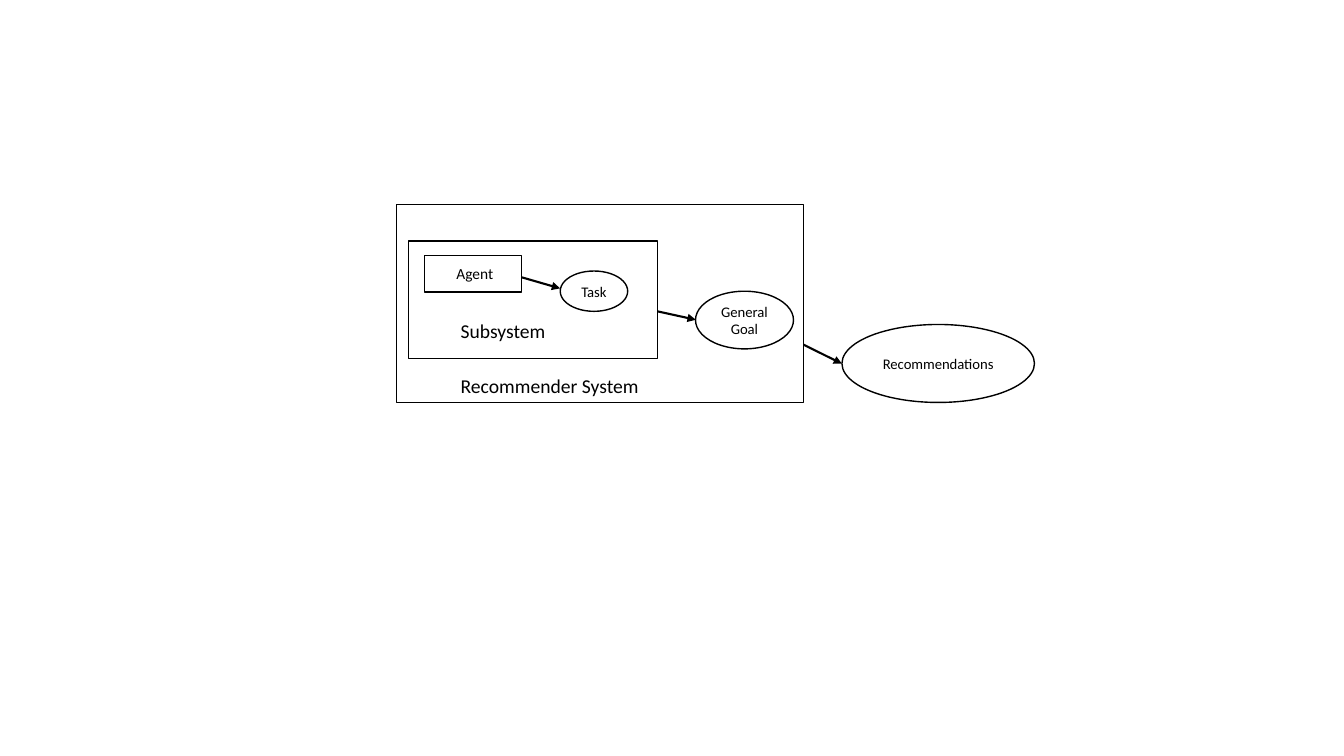
import pptx
import pptx.util
import pptx.dml.color
import pptx.enum.shapes
import pptx.enum.text
import pptx.oxml
import pptx.oxml.ns

Pt = pptx.util.Pt
SHAPE = pptx.enum.shapes.MSO_SHAPE
COLORS = {"ink": "000000", "paper": "FFFFFF"}
FONTS = {
    "heading": {"name": "Calibri", "size": Pt(14)},
    "agent": {"name": "Calibri", "size": Pt(11)},
    "goal": {"name": "Calibri", "size": Pt(10.5)},
}
ARROW_W = 27.4


def color(name):
    return pptx.dml.color.RGBColor.from_string(COLORS[name])


def write(tf, text, style):
    p = tf.paragraphs[0]
    r = p.add_run()
    r.text = text
    for name, value in FONTS[style].items():
        setattr(r.font, name, value)
    r.font.color.rgb = color("ink")
    return p


def add_outline(s, kind, x, y, w, h):
    sp = s.shapes.add_shape(kind, Pt(x), Pt(y), Pt(w), Pt(h))
    sp.shadow.inherit = False
    sp.fill.solid()
    sp.fill.fore_color.rgb = color("paper")
    sp.line.color.rgb = color("ink")
    sp.line.width = Pt(1)
    return sp


def add_goal(s, text, x, y, w, h):
    tf = add_outline(s, SHAPE.OVAL, x, y, w, h).text_frame
    tf.word_wrap = True
    tf.vertical_anchor = pptx.enum.text.MSO_ANCHOR.MIDDLE
    write(tf, text, "goal").alignment = pptx.enum.text.PP_ALIGN.CENTER


def add_label(s, text, style, x, y, w, h):
    tf = s.shapes.add_textbox(Pt(x), Pt(y), Pt(w), Pt(h)).text_frame
    tf.word_wrap = True
    tf.auto_size = pptx.enum.text.MSO_AUTO_SIZE.SHAPE_TO_FIT_TEXT
    write(tf, text, style)


def add_arrow(s, x, y, drop):
    sp = s.shapes.add_connector(pptx.enum.shapes.MSO_CONNECTOR.STRAIGHT,
                                Pt(x), Pt(y), Pt(x + ARROW_W), Pt(y + drop))
    sp.line.color.rgb = color("ink")
    sp.line.width = Pt(1.5)
    line = sp.line._get_or_add_ln()
    tip = pptx.oxml.parse_xml(
        "<a:tailEnd %s type='triangle'/>" % pptx.oxml.ns.nsdecls("a"))
    line.append(tip)
    line.addnext(pptx.oxml.parse_xml(
        "<a:effectLst %s/>" % pptx.oxml.ns.nsdecls("a")))


# Inner box: the agent performs a task
def draw_subsystem(s, x, y, w, h):
    add_outline(s, SHAPE.RECTANGLE, x, y, w, h)
    add_outline(s, SHAPE.RECTANGLE, x + 11.5, y + 10.5, 69.4, 26)
    add_label(s, "Agent", "agent", x + 27.2, y + 12.7, 62, 20.6)
    add_goal(s, "Task", x + 108.5, y + 21.5, 48.2, 28.8)
    add_arrow(s, x + 81, y + 26, 7.9)
    add_label(s, "Subsystem", "heading", x + 30.2, y + 52.3, 86.4, 24.3)


# Outer box: the subsystem serves the general goal
def draw_system(s, x, y, w, h):
    add_outline(s, SHAPE.RECTANGLE, x, y, w, h)
    draw_subsystem(s, x + 8.3, y + 25.9, 178, 84.2)
    add_goal(s, "General Goal", x + 213.4, y + 61.8, 70, 41.2)
    add_arrow(s, x + 186.2, y + 76.2, 6)
    add_label(s, "Recommender System", "heading",
              x + 38.5, y + 117.3, 147.6, 24.3)


# Result of the whole system
def draw_result(s, x, y, w, h):
    add_goal(s, "Recommendations", x, y, w, h)
    add_arrow(s, x - ARROW_W, y + 14.4, 13.6)


def main():
    prs = pptx.Presentation()
    prs.slide_width, prs.slide_height = Pt(960), Pt(540)
    s = prs.slides.add_slide(prs.slide_layouts[6])
    draw_system(s, 283.4, 146.2, 290.6, 141.3)
    draw_result(s, 601.4, 231.8, 137.5, 55.7)
    prs.save("out.pptx")


if __name__ == "__main__":
    main()
